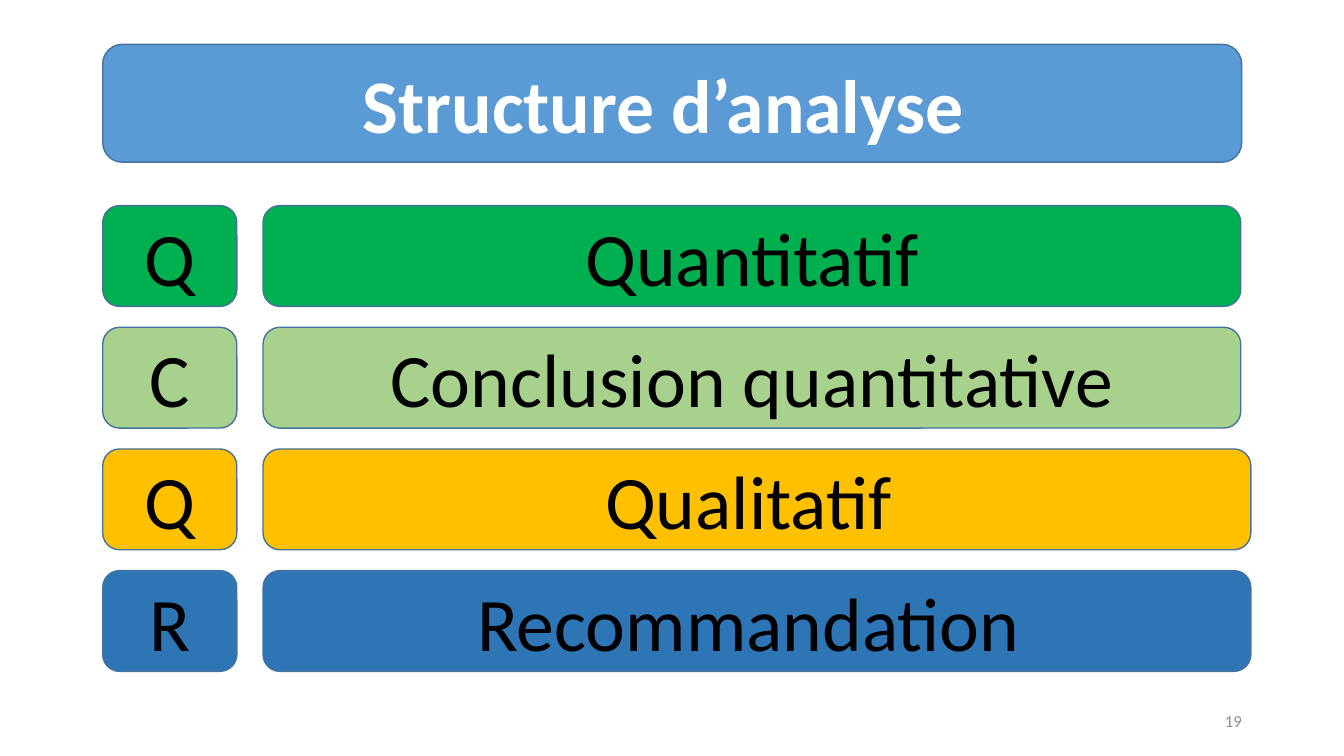
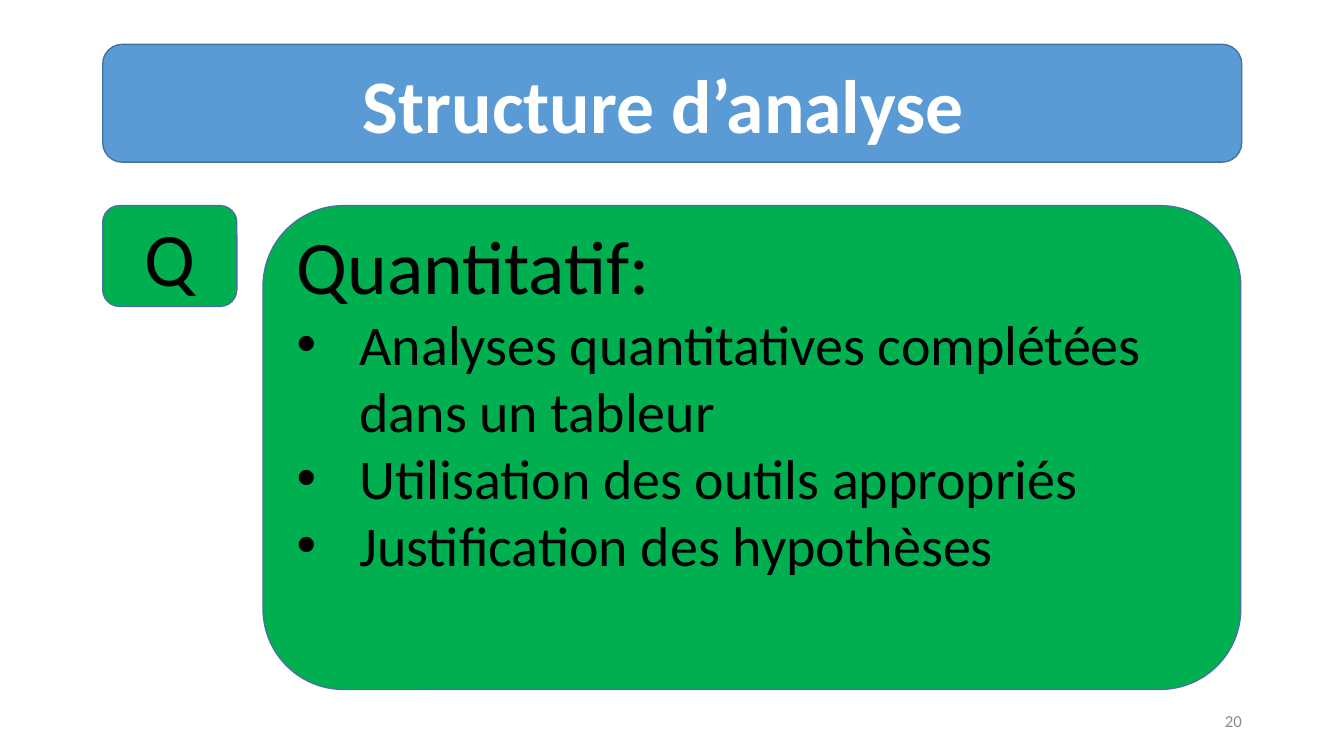
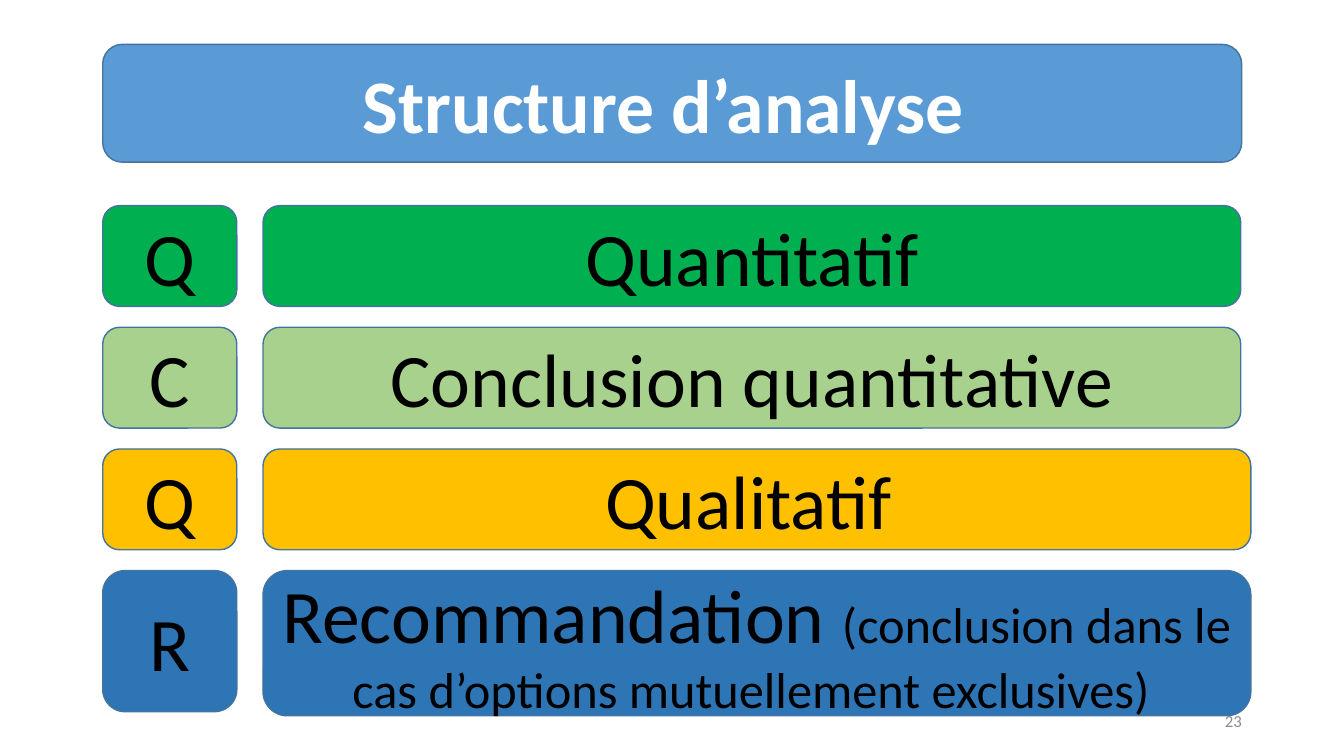
from dataclasses import dataclass

from lxml.etree import SubElement
from pptx import Presentation
from pptx.dml.color import RGBColor
from pptx.enum.shapes import MSO_SHAPE
from pptx.enum.text import MSO_ANCHOR, MSO_AUTO_SIZE, PP_ALIGN
from pptx.oxml.ns import qn
from pptx.util import Pt


@dataclass(frozen=True)
class Theme:
    font: str = "Calibri"
    band: str = "5B9BD5"
    outline: str = "43739E"
    white: str = "FFFFFF"
    black: str = "000000"
    gray: str = "8C8C8C"
    green: str = "00B050"
    light_green: str = "A9D18E"
    amber: str = "FFC000"
    blue: str = "2E75B6"
    large: int = 54
    list_size: int = 40
    note_size: int = 36
    number_size: int = 12


THEME = Theme()
TITLE_ONLY, TITLE_AND_CONTENT = 5, 1
LEFT, LABEL_LEFT = 73.4, 187.9
BAND_BOX = (LEFT, 31.7, 813.6, 84.2)
FIRST_ROW_TOP, ROW_STEP, ROW_HEIGHT = 146.9, 86.9, 72
LETTER_WIDTH, LABEL_WIDTH, WIDE_LABEL_WIDTH = 95.8, 698.4, 705.6

# letter, label, fill colour, label width
ROWS = [
    ("Q", "Quantitatif", THEME.green, LABEL_WIDTH),
    ("C", "Conclusion quantitative", THEME.light_green, LABEL_WIDTH),
    ("Q", "Qualitatif ", THEME.amber, WIDE_LABEL_WIDTH),
    ("R", "Recommandation ", THEME.blue, WIDE_LABEL_WIDTH),
]


class Deck:
    def __init__(self, theme):
        self.theme = theme
        self.presentation = Presentation()
        self.presentation.slide_width = Pt(960)
        self.presentation.slide_height = Pt(540)
        self.slide = None

    def add_slide(self, layout_index, title, number):
        layout = self.presentation.slide_layouts[layout_index]
        self.slide = self.presentation.slides.add_slide(layout)
        self.page_number(number)
        self.title(title)

    def format_runs(self, paragraph, size, color, bold=False):
        for run in paragraph.runs:
            run.font.name = self.theme.font
            run.font.size = Pt(size)
            run.font.bold = bold
            run.font.color.rgb = RGBColor.from_string(color)

    def place(self, shape, left, top, width, height):
        shape.left, shape.top = Pt(left), Pt(top)
        shape.width, shape.height = Pt(width), Pt(height)
        shape.text_frame.word_wrap = True
        shape.text_frame.auto_size = MSO_AUTO_SIZE.NONE

    def rounded_box(self, box, fill, text=""):
        shape = self.slide.shapes.add_shape(
            MSO_SHAPE.ROUNDED_RECTANGLE, *map(Pt, box))
        shape.shadow.inherit = False
        shape.fill.solid()
        shape.fill.fore_color.rgb = RGBColor.from_string(fill)
        shape.line.color.rgb = RGBColor.from_string(self.theme.outline)
        shape.line.width = Pt(1)
        frame = shape.text_frame
        frame.word_wrap = True
        frame.vertical_anchor = MSO_ANCHOR.MIDDLE
        frame.text = text
        frame.paragraphs[0].alignment = PP_ALIGN.CENTER
        self.format_runs(frame.paragraphs[0], self.theme.large, self.theme.black)
        return shape

    def backdrop(self, box, fill):
        """Draw a rounded box behind everything else on the slide."""
        shape = self.rounded_box(box, fill)
        self.slide.shapes.element.insert(2, shape.element)

    def title(self, text):
        self.backdrop(BAND_BOX, self.theme.band)
        title = self.slide.shapes.title
        self.place(title, *BAND_BOX)
        title.text_frame.vertical_anchor = MSO_ANCHOR.MIDDLE
        title.text_frame.text = text
        paragraph = title.text_frame.paragraphs[0]
        paragraph.alignment = PP_ALIGN.CENTER
        self.format_runs(paragraph, self.theme.large, self.theme.white, bold=True)

    def page_number(self, number):
        box = self.slide.shapes.add_textbox(0, 0, 0, 0)
        self.place(box, 678.2, 500.4, 216, 28.8)
        box.text_frame.vertical_anchor = MSO_ANCHOR.MIDDLE
        box.text_frame.text = str(number)
        paragraph = box.text_frame.paragraphs[0]
        paragraph.alignment = PP_ALIGN.RIGHT
        self.format_runs(paragraph, self.theme.number_size, self.theme.gray)

    def letter(self, text, top, fill, height=ROW_HEIGHT):
        self.rounded_box((LEFT, top, LETTER_WIDTH, height), fill, text)

    def structure_rows(self, last_heights=(ROW_HEIGHT, ROW_HEIGHT), note=""):
        """Draw the four steps; last_heights are for the last letter and label."""
        for index, (letter, label, fill, width) in enumerate(ROWS):
            top = FIRST_ROW_TOP + index * ROW_STEP
            is_last = index == len(ROWS) - 1
            heights = last_heights if is_last else (ROW_HEIGHT, ROW_HEIGHT)
            self.letter(letter, top, fill, heights[0])
            shape = self.rounded_box((LABEL_LEFT, top, width, heights[1]), fill, label)
        if note:
            run = shape.text_frame.paragraphs[0].add_run()
            run.text = note
            run.font.name = self.theme.font
            run.font.size = Pt(self.theme.note_size)
            run.font.color.rgb = RGBColor.from_string(self.theme.black)

    def list_panel(self, heading, items, fill):
        self.backdrop((LABEL_LEFT, FIRST_ROW_TOP, LABEL_WIDTH, 345.6), fill)
        body = self.slide.placeholders[1]
        self.place(body, LABEL_LEFT + 16.7, 156.2, LABEL_WIDTH - 33.4, 327)
        frame = body.text_frame
        frame.vertical_anchor = MSO_ANCHOR.TOP
        frame.margin_top = frame.margin_bottom = 0
        frame.text = "\n".join([heading, *items])
        for index, paragraph in enumerate(frame.paragraphs):
            indent = Pt(45) if index else 0
            properties = paragraph._p.get_or_add_pPr()
            properties.set("marL", str(indent))
            properties.set("indent", str(-indent))
            paragraph.space_before = Pt(0)
            if index:
                SubElement(properties, qn("a:buFont")).set("typeface", "Arial")
                SubElement(properties, qn("a:buChar")).set("char", "•")
            else:
                SubElement(properties, qn("a:buNone"))
            size = self.theme.list_size if index else self.theme.large
            paragraph.alignment = PP_ALIGN.LEFT
            self.format_runs(paragraph, size, self.theme.black)


def main():
    deck = Deck(THEME)
    title = "Structure d’analyse "

    deck.add_slide(TITLE_ONLY, title, 19)
    deck.structure_rows()

    deck.add_slide(TITLE_AND_CONTENT, title, 20)
    deck.letter("Q", FIRST_ROW_TOP, THEME.green)
    deck.list_panel("Quantitatif:", [
        "Analyses quantitatives complétées dans un tableur",
        "Utilisation des outils appropriés",
        "Justification des hypothèses",
    ], THEME.green)

    deck.add_slide(TITLE_ONLY, title, 23)
    deck.structure_rows(
        last_heights=(100.8, 103.7),
        note="(conclusion dans le cas d’options mutuellement exclusives) ")

    deck.presentation.save("out.pptx")


if __name__ == "__main__":
    main()
